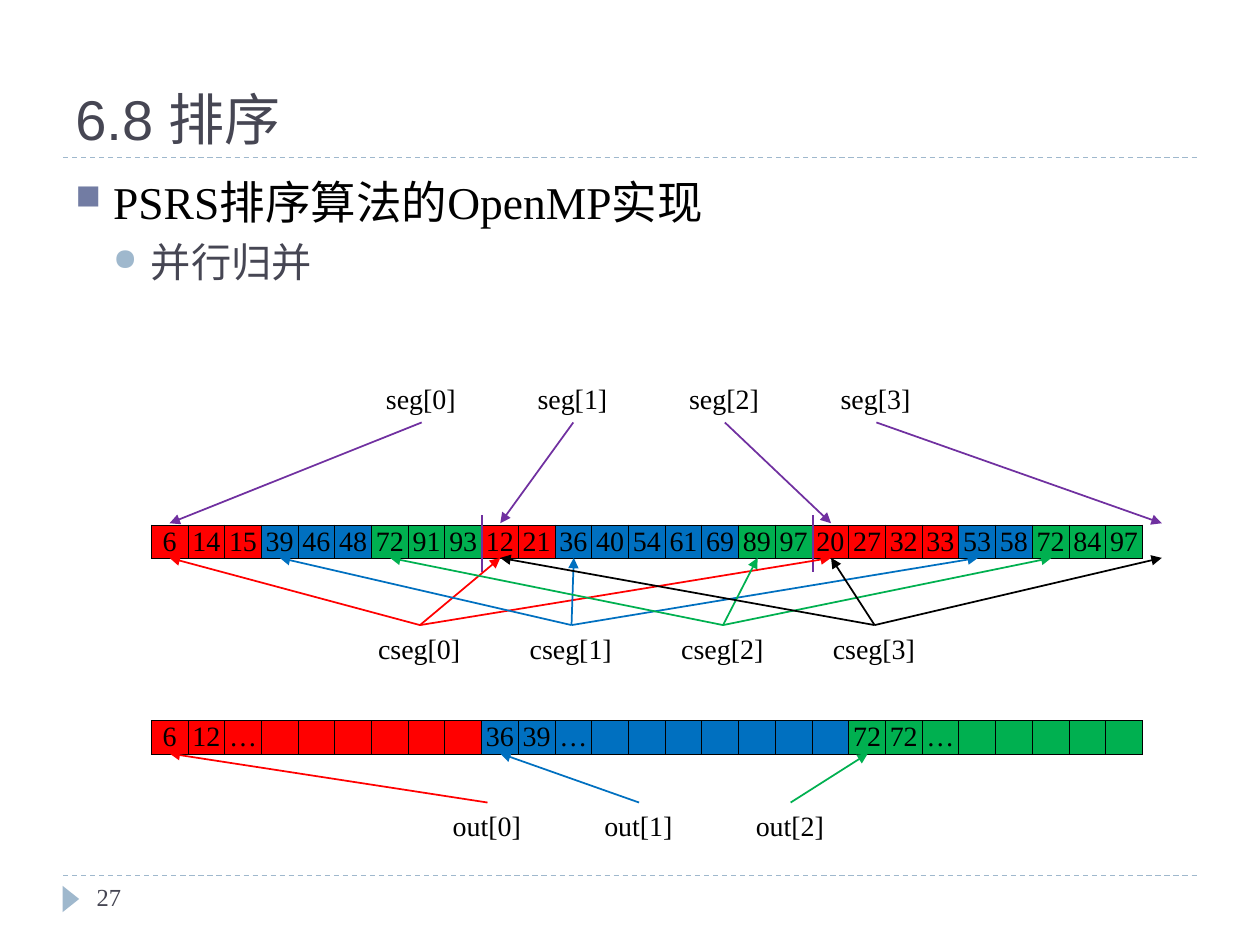
"""Slide on the parallel merge step of PSRS sorting with OpenMP."""
from lxml import etree
from pptx import Presentation
from pptx.dml.color import RGBColor
from pptx.enum import dml, shapes, text
from pptx.oxml import ns
from pptx.util import Pt

RED, BLUE, GREEN = "FF0000", "0070C0", "00B050"
PURPLE, BLACK, SLATE, PALE = "7030A0", "000000", "464653", "9FB8CD"
SERIF = "Times New Roman"

TITLE = "6.8 排序"
OUTLINE = [
    ("PSRS排序算法的OpenMP实现", 26, BLACK, 6, "■", "727CA3"),
    ("并行归并", 23, SLATE, 5, "●", PALE),
]
SORTED_RUNS = [
    (RED, [6, 14, 15]), (BLUE, [39, 46, 48]), (GREEN, [72, 91, 93]),
    (RED, [12, 21]), (BLUE, [36, 40, 54, 61, 69]), (GREEN, [89, 97]),
    (RED, [20, 27, 32, 33]), (BLUE, [53, 58]), (GREEN, [72, 84, 97]),
]
MERGED_RUNS = [
    (RED, [6, 12, "…"] + [""] * 6),
    (BLUE, [36, 39, "…"] + [""] * 7),
    (GREEN, [72, 72, "…"] + [""] * 5),
]
POINTERS = [
    dict(name="seg", center=241, top=214.6, width=55, start=241.4, end=299,
         targets=[(PURPLE, [0]), (PURPLE, [9]), (PURPLE, [18]), (PURPLE, [27])]),
    dict(name="cseg", center=240, top=357.2, width=62, start=357.2, end=318.8,
         targets=[(RED, [0, 9, 18]), (BLUE, [3, 11, 22]),
                  (GREEN, [6, 16, 24]), (BLACK, [9, 18, 27])]),
    dict(name="out", center=278.6, top=458.6, width=54, start=458.6, end=430.6,
         targets=[(RED, [0]), (BLUE, [9]), (GREEN, [19])]),
]
ARRAY_LEFT, CELL_WIDTH, CELL_HEIGHT = 86.4, 21, 17.7
SORTED_TOP, MERGED_TOP = 300, 411.8
LABEL_STEP, LABEL_HEIGHT = 86.6, 26.6


def rgb(value):
    return RGBColor.from_string(value)


def style(paragraph, size, color, font=SERIF):
    for run in paragraph.runs:
        run.font.size, run.font.name = Pt(size), font
        run.font.color.rgb = rgb(color)


def add_words(slide, box, words, size, color, font=SERIF, wrap=True):
    frame = slide.shapes.add_textbox(*map(Pt, box)).text_frame
    frame.word_wrap = wrap
    frame.text = words
    style(frame.paragraphs[0], size, color, font)
    return frame


def add_line(slide, start, end, color, width=1, arrow=False):
    line = slide.shapes.add_connector(
        shapes.MSO_CONNECTOR.STRAIGHT, *map(Pt, (*start, *end)))
    line.line.color.rgb, line.line.width = rgb(color), Pt(width)
    if arrow:
        etree.SubElement(line.line._get_or_add_ln(), ns.qn("a:tailEnd"), type="triangle")
    etree.SubElement(line._element.spPr, ns.qn("a:effectLst"))
    return line


def add_bullet(paragraph, level, mark, color):
    properties = paragraph._p.get_or_add_pPr()
    properties.set("marL", str(Pt(21.6 * (level + 1))))
    properties.set("indent", str(Pt(-21.6)))
    tint = etree.SubElement(properties, ns.qn("a:buClr"))
    etree.SubElement(tint, ns.qn("a:srgbClr"), val=color)
    etree.SubElement(properties, ns.qn("a:buSzPct"), val="76000")
    etree.SubElement(properties, ns.qn("a:buChar"), char=mark)


def add_borders(cell):
    properties = cell._tc.get_or_add_tcPr()
    for side in ("lnL", "lnR", "lnT", "lnB"):
        border = etree.SubElement(properties, ns.qn(f"a:{side}"), w=str(Pt(0.5)))
        fill = etree.SubElement(border, ns.qn("a:solidFill"))
        etree.SubElement(fill, ns.qn("a:srgbClr"), val=BLACK)


def add_array(slide, top, runs):
    values = [(color, value) for color, group in runs for value in group]
    box = (ARRAY_LEFT, top, CELL_WIDTH * len(values), CELL_HEIGHT)
    array = slide.shapes.add_table(1, len(values), *map(Pt, box)).table
    array.first_row = array.horz_banding = False
    for column, (color, value) in enumerate(values):
        array.columns[column].width = Pt(CELL_WIDTH)
        cell = array.cell(0, column)
        cell.margin_left = cell.margin_right = cell.margin_top = cell.margin_bottom = 0
        cell.vertical_anchor = text.MSO_ANCHOR.MIDDLE
        add_borders(cell)
        cell.fill.solid()
        cell.fill.fore_color.rgb = rgb(color)
        cell.text_frame.text = str(value)
        paragraph = cell.text_frame.paragraphs[0]
        paragraph.alignment = text.PP_ALIGN.CENTER
        style(paragraph, 16, BLACK)
        if value == "":
            ending = etree.SubElement(paragraph._p, ns.qn("a:endParaRPr"), sz="1600")
            etree.SubElement(ending, ns.qn("a:latin"), typeface=SERIF)


def add_pointers(slide, name, center, top, width, start, end, targets):
    for index, (color, cells) in enumerate(targets):
        x = center + index * LABEL_STEP
        label = add_words(slide, (x - width / 2, top, width, LABEL_HEIGHT),
                          f"{name}[{index}]", 16, BLACK, wrap=False)
        label.auto_size = text.MSO_AUTO_SIZE.SHAPE_TO_FIT_TEXT
        for cell in cells:
            target = ARRAY_LEFT + (cell + 0.5) * CELL_WIDTH
            add_line(slide, (x, start), (target, end), color, arrow=True)


def add_frame(slide):
    for y in (500.4, 90):
        rule = add_line(slide, (36, y), (684, y), PALE, 0.75)
        rule.line.dash_style = dml.MSO_LINE.DASH
    marker = slide.shapes.add_shape(
        shapes.MSO_SHAPE.ISOSCELES_TRIANGLE, *map(Pt, (33, 509, 15, 9.4)))
    marker.rotation = 90
    marker.shadow.inherit = False
    marker.fill.solid()
    marker.fill.fore_color.rgb = rgb(PALE)
    marker.line.fill.background()
    add_words(slide, (48.2, 500.4, 156, 28.8), "27", 14, SLATE)


def add_outline(slide):
    heading = add_words(slide, (36, 12.2, 648, 77.8), TITLE, 32, SLATE, "Arial")
    heading.vertical_anchor = text.MSO_ANCHOR.BOTTOM
    body = add_words(slide, (36, 95.8, 648, 111.6),
                     "\n".join(item[0] for item in OUTLINE), 26, BLACK)
    for level, (paragraph, item) in enumerate(zip(body.paragraphs, OUTLINE)):
        _, size, color, space, mark, tint = item
        paragraph.level, paragraph.space_before = level, Pt(space)
        style(paragraph, size, color)
        add_bullet(paragraph, level, mark, tint)


def main():
    deck = Presentation()
    deck.slide_width, deck.slide_height = Pt(720), Pt(540)
    slide = deck.slides.add_slide(deck.slide_layouts[6])
    add_frame(slide)
    add_outline(slide)
    add_array(slide, SORTED_TOP, SORTED_RUNS)
    for boundary in (9, 18):
        x = ARRAY_LEFT + boundary * CELL_WIDTH
        add_line(slide, (x, 294.5), (x, 327), PURPLE)
    add_array(slide, MERGED_TOP, MERGED_RUNS)
    for group in POINTERS:
        add_pointers(slide, **group)
    deck.save("out.pptx")


if __name__ == "__main__":
    main()
